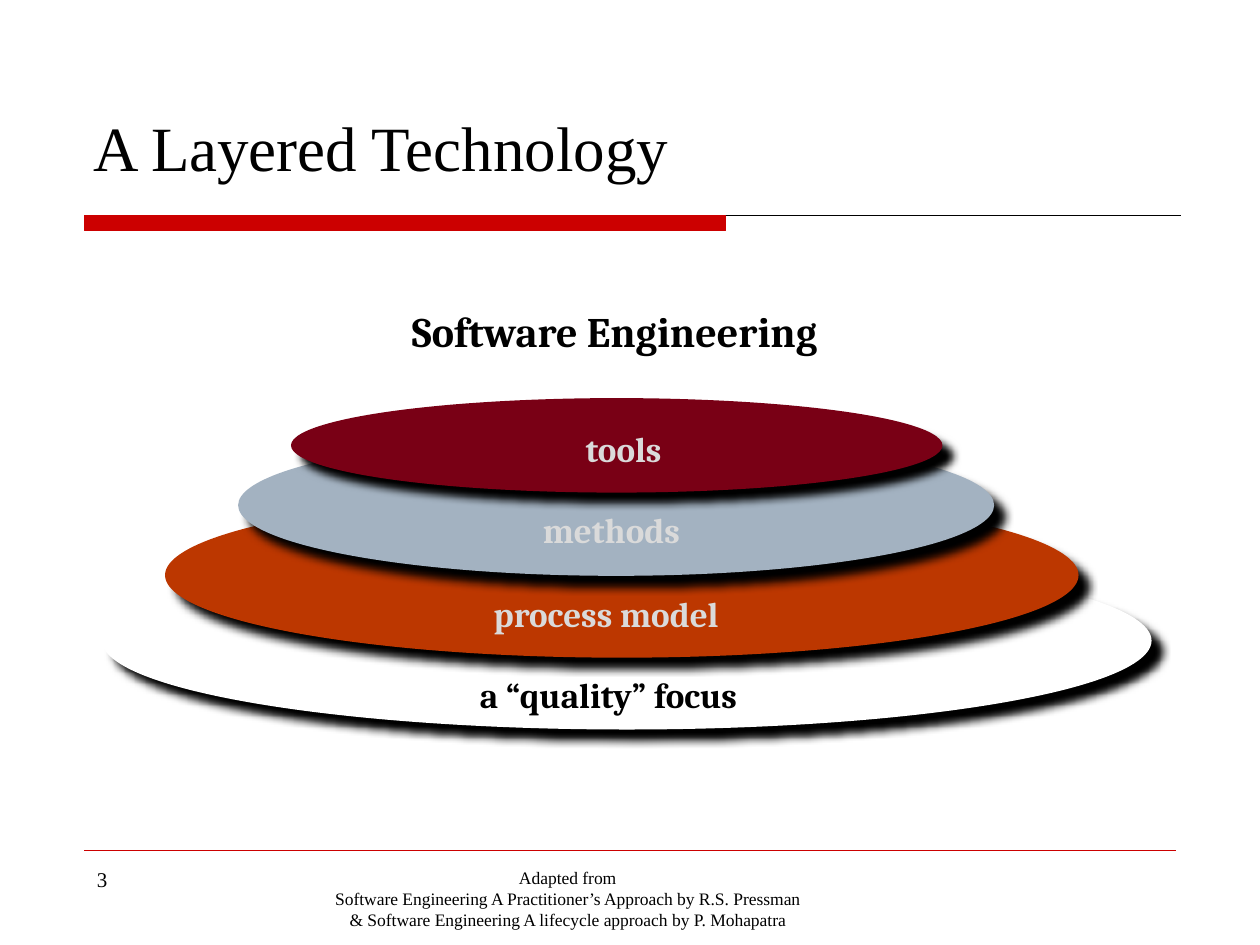
from lxml import etree
from pptx import Presentation
from pptx.dml.color import RGBColor
from pptx.enum.shapes import MSO_CONNECTOR, MSO_SHAPE
from pptx.enum.text import MSO_ANCHOR, MSO_AUTO_SIZE, PP_ALIGN
from pptx.oxml.ns import qn
from pptx.util import Inches, Pt

STRAIGHT = MSO_CONNECTOR.STRAIGHT
OVAL, RECT = MSO_SHAPE.OVAL, MSO_SHAPE.RECTANGLE
LEFT, CENTER = PP_ALIGN.LEFT, PP_ALIGN.CENTER
TOP = MSO_ANCHOR.TOP
GROW, FIXED = MSO_AUTO_SIZE.SHAPE_TO_FIT_TEXT, MSO_AUTO_SIZE.NONE

BLACK = RGBColor(0x00, 0x00, 0x00)
WHITE = RGBColor(0xFF, 0xFF, 0xFF)
RED = RGBColor(0xCC, 0x00, 0x00)
RUST = RGBColor(0xBC, 0x37, 0x00)
STEEL = RGBColor(0xA3, 0xB2, 0xC1)
WINE = RGBColor(0x79, 0x00, 0x15)
PALE = RGBColor(0xDA, 0xDA, 0xDA)

SERIF, HEAD = "Times New Roman", "Cambria"

# Each layer from the bottom up: oval box, fill, label, label box, label colour
LAYERS = [
    ((0.81, 4.38, 8.33, 1.41), WHITE, "a “quality” focus", (3.71, 5.3, 2.42, 0.43), BLACK),
    ((1.31, 3.91, 7.25, 1.31), RUST, "process model", (3.82, 4.65, 2.16, 0.43), PALE),
    ((1.89, 3.45, 6, 1.12), STEEL, "methods", (4.21, 3.99, 1.36, 0.43), PALE),
    ((2.31, 3.16, 5.17, 0.75), WINE, "tools", (4.55, 3.34, 0.86, 0.43), PALE),
]
CREDITS = [
    "Adapted from",
    "Software Engineering A Practitioner’s Approach by R.S. Pressman",
    "& Software Engineering A lifecycle approach by P. Mohapatra",
]


def inch(box):
    return [Inches(v) for v in box]


def write(frame, lines, size, font=SERIF, color=BLACK, bold=False, align=LEFT, fit=FIXED):
    frame.word_wrap = True
    frame.auto_size = fit
    frame.vertical_anchor = TOP
    for i, line in enumerate(lines):
        para = frame.add_paragraph() if i else frame.paragraphs[0]
        para.alignment = align
        run = para.add_run()
        run.text = line
        run.font.name = font
        run.font.size = Pt(size)
        run.font.bold = bold
        run.font.color.rgb = color


def add_text(slide, box, lines, size, **style):
    frame = slide.shapes.add_textbox(*inch(box)).text_frame
    write(frame, lines, size, **style)
    return frame


def add_rule(slide, left, right, y, color):
    rule = slide.shapes.add_connector(STRAIGHT, *inch((left, y, right, y)))
    rule.line.color.rgb = color
    rule.line.width = Pt(0.75)
    etree.SubElement(rule._element.spPr, qn("a:effectLst"))


def add_shade(shape):
    """Cast a soft black shadow down and to the right."""
    shape.shadow.inherit = False
    effects = shape._element.spPr.find(qn("a:effectLst"))
    shade = etree.SubElement(
        effects, qn("a:outerShdw"), blurRad=str(Pt(5)), dist=str(Pt(8.5)),
        dir=str(45 * 60000), algn="ctr", rotWithShape="0")
    etree.SubElement(shade, qn("a:srgbClr"), val=str(BLACK))


def add_header(slide, box):
    left, top, width, height = box
    title = slide.shapes.title
    title.left, title.top, title.width, title.height = inch((left, top, 4.78, 0.66))
    frame = title.text_frame
    frame.margin_left = frame.margin_right = Inches(0.07)
    frame.margin_top = frame.margin_bottom = Inches(0.03)
    write(frame, ["A Layered Technology"], 36, fit=GROW)

    thick, long = 0.12, 5.09
    y = top + height - thick
    add_rule(slide, left, left + width, y, BLACK)
    bar = slide.shapes.add_shape(RECT, *inch((left, y, long, thick)))
    bar.shadow.inherit = False
    bar.fill.solid()
    bar.fill.fore_color.rgb = RED
    bar.line.color.rgb = RED
    bar.line.width = Pt(0.75)


def add_stack(slide, box):
    """Draw the heading, then the ovals, then their labels on top."""
    frame = add_text(slide, box, ["Software Engineering"], 24,
                     font=HEAD, bold=True, fit=GROW)
    frame.paragraphs[0].line_spacing = 0.9
    for place, fill, *_ in LAYERS:
        oval = slide.shapes.add_shape(OVAL, *inch(place))
        oval.fill.solid()
        oval.fill.fore_color.rgb = fill
        oval.line.fill.background()
        add_shade(oval)
    for *_, label, place, color in LAYERS:
        add_text(slide, place, [label], 20, font=HEAD, color=color, bold=True, fit=GROW)


def add_footer(slide, box):
    left, top, width, height = box
    add_rule(slide, left, left + width, top, RED)
    y = top + 0.08
    add_text(slide, (left, y, 2.17, height - 0.08), ["3"], 12)
    add_text(slide, (left + 1.75, y, 4.17, 0.42), CREDITS, 10, align=CENTER)


def main():
    deck = Presentation()
    deck.slide_width, deck.slide_height = Inches(10), Inches(7.5)
    slide = deck.slides.add_slide(deck.slide_layouts[5])
    add_header(slide, (0.67, 0.83, 8.7, 1))
    add_stack(slide, (3.17, 2.42, 3.62, 0.46))
    add_footer(slide, (0.67, 6.75, 8.66, 0.6))
    deck.save("out.pptx")


if __name__ == "__main__":
    main()
